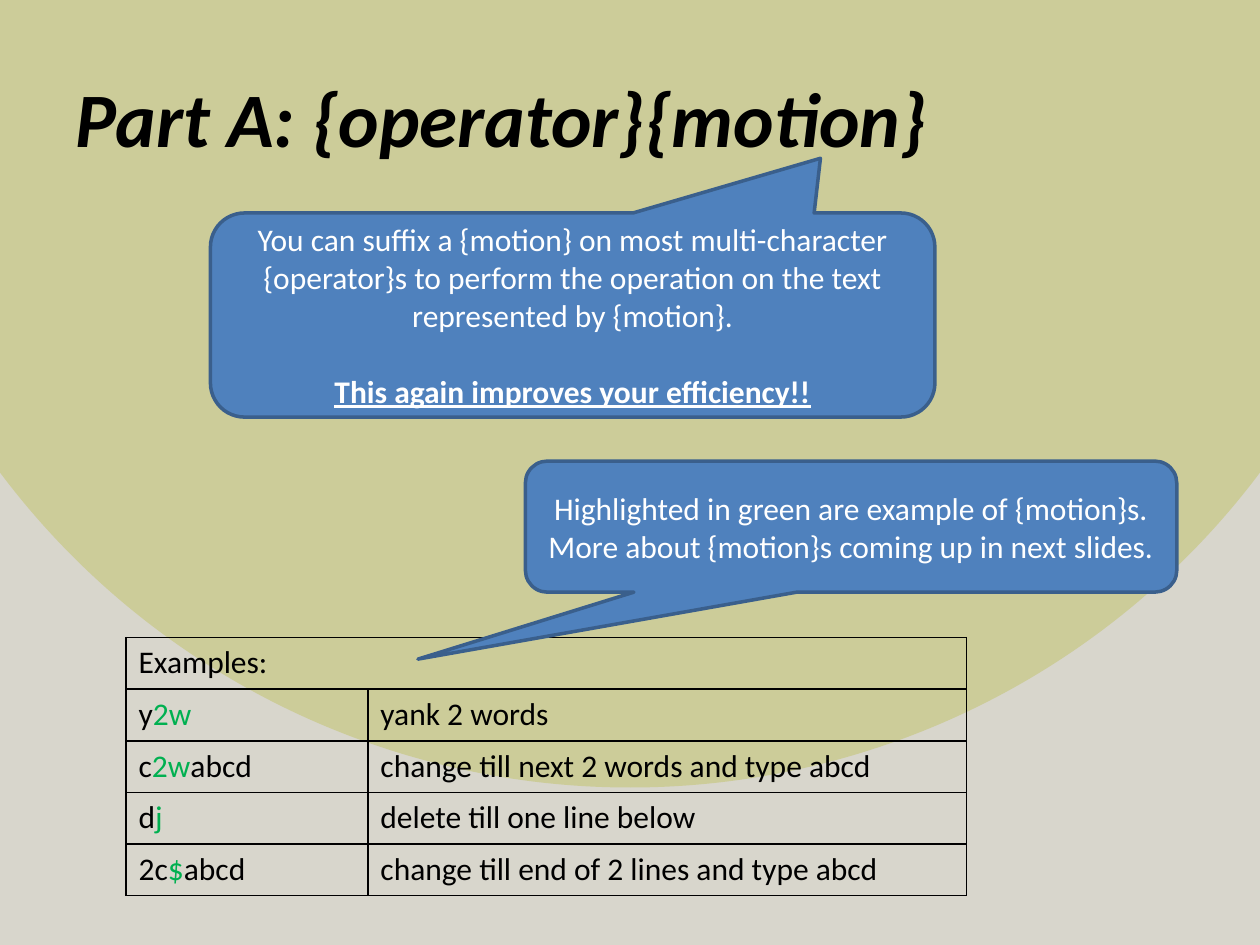
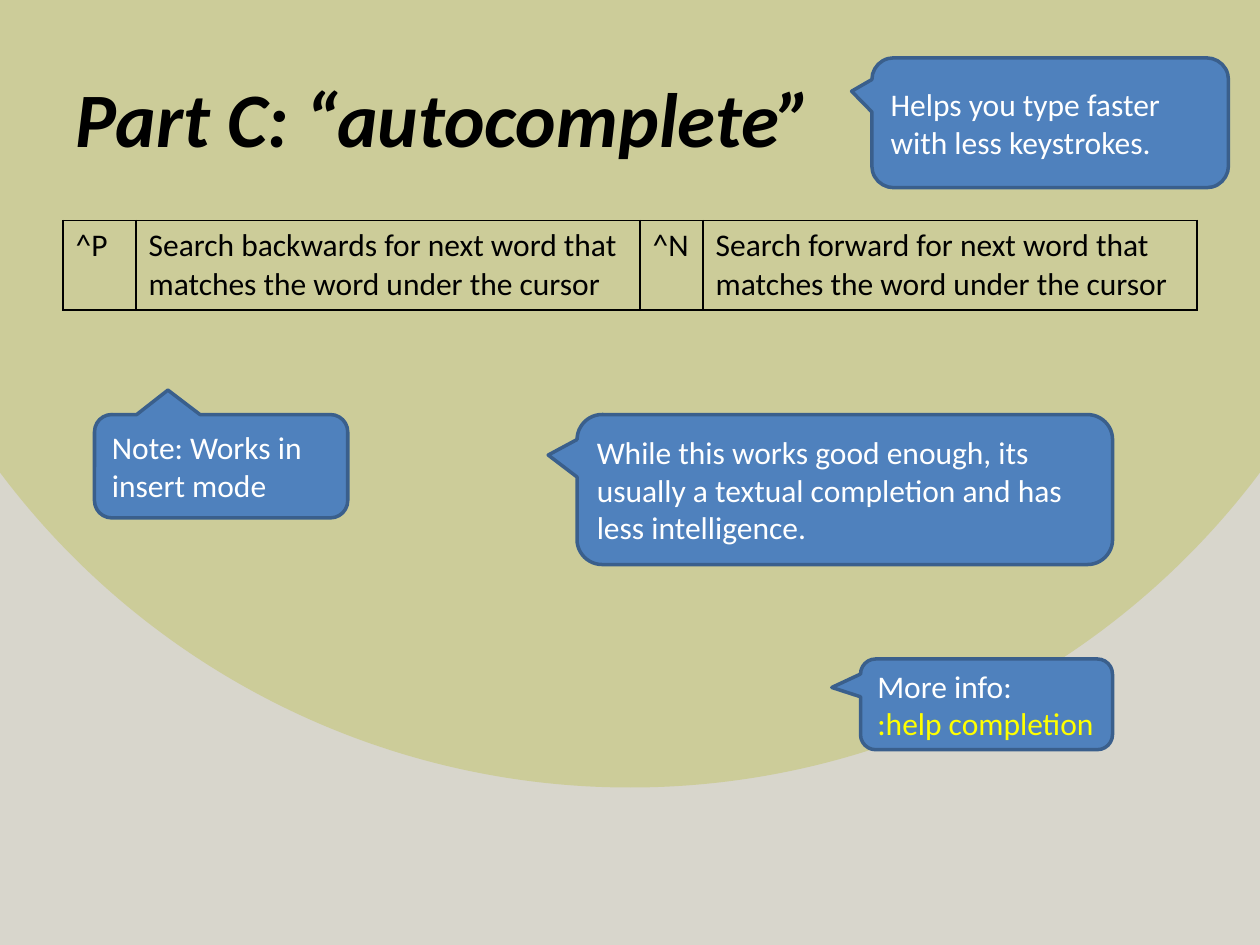
import pptx
import pptx.dml.color
import pptx.enum.shapes
import pptx.enum.text
import pptx.oxml
import pptx.oxml.ns
import pptx.util
from pptx.util import Inches

FONT, BODY_SIZE, TITLE_SIZE = "Calibri", 18, 44
BLACK, WHITE, GREEN, YELLOW = "000000", "FFFFFF", "00B050", "FFFF00"
CALLOUT_FILL, CALLOUT_LINE = "4F81BD", "3A5F8C"
DISC, SURROUND = "CCCC99", "D8D6CC"
TITLE_PLACE = (0.5, 0.3, 9, 1.25)
BLANK_LINE = 22
ALIGN = pptx.enum.text.PP_ALIGN

# A paragraph is a list of (text, format) spans.
SLIDES = [
    {
        "title": "Part A: {operator}{motion}",
        "table": {
            "place": (1, 5.06), "columns": (1.92, 4.75), "row_height": 0.41, "heading": True,
            "rows": [
                [[("Examples:", {})], []],
                [[("y", {}), ("2w", {"color": GREEN})], [("yank 2 words", {})]],
                [[("c", {}), ("2w", {"color": GREEN}), ("abcd", {})],
                 [("change till next 2 words and type abcd", {})]],
                [[("d", {}), ("j", {"color": GREEN})], [("delete till one line below", {})]],
                [[("2c", {}), ("$", {"color": GREEN}), ("abcd", {})],
                 [("change till end of 2 lines and type abcd", {})]],
            ],
        },
        "align": ALIGN.CENTER,
        "callouts": [
            ((1.67, 1.69, 5.75, 1.62), (0.342, -0.768), [
                [("You can suffix a {motion} on most multi-character {operator}s to perform "
                  "the operation on the text represented by {motion}.", {})],
                [("This again improves your efficiency!!", {"bold": True, "underline": True})]]),
            ((4.17, 3.66, 5.17, 1.04), (-0.665, 1.011), [
                [("Highlighted in green are example of {motion}s. "
                  "More about {motion}s coming up in next slides.", {})]]),
        ],
    },
    {
        "title": "Part C: “autocomplete”",
        "table": {
            "place": (0.5, 1.75), "columns": (0.58, 4, 0.5, 3.92), "row_height": 0.7, "heading": False,
            "rows": [[
                [("^P", {})],
                [("Search backwards for next word that matches the word under the cursor", {})],
                [("^N", {})],
                [("Search forward for next word that matches the word under the cursor", {})],
            ]],
        },
        "align": ALIGN.LEFT,
        "callouts": [
            ((6.83, 5.23, 2, 0.72), (-0.614, -0.186), [
                [("More info:", {})], [(":help completion", {"color": YELLOW})]]),
            ((6.92, 0.46, 2.83, 1.03), (-0.557, -0.243), [
                [("Helps you type faster with less keystrokes.", {})]]),
            ((4.58, 3.29, 4.25, 1.19), (-0.554, -0.23), [
                [("While this works good enough, its usually a textual completion "
                  "and has less intelligence.", {})]]),
            ((0.75, 3.29, 2.01, 0.82), (-0.21, -0.737), [
                [("Note: Works in insert mode", {})]]),
        ],
    },
]


def rgb(color):
    """Turn a hex string into a colour."""
    return pptx.dml.color.RGBColor.from_string(color)


def add_text(para, text, color=BLACK, size=BODY_SIZE, bold=False, italic=False, underline=False):
    """Append one formatted span to a paragraph."""
    span = para.add_run()
    span.text = text
    font = span.font
    font.name, font.size = FONT, pptx.util.Pt(size)
    font.bold, font.italic, font.underline = bold, italic, underline
    font.color.rgb = rgb(color)


def set_background(master):
    """Give every slide a disc centred on its top edge."""
    master.background.fill.solid()
    solid = master.element.find(".//" + pptx.oxml.ns.qn("p:bgPr"))[0]
    stops = "".join(f'<a:gs pos="100000"><a:srgbClr val="{color}"/></a:gs>'
                    for color in (DISC, SURROUND))
    gradient = pptx.oxml.parse_xml(
        f'<a:gradFill {pptx.oxml.ns.nsdecls("a")} rotWithShape="1"><a:gsLst>{stops}</a:gsLst>'
        '<a:path path="circle"><a:fillToRect l="43000" t="0" r="43000" b="100000"/></a:path>'
        '</a:gradFill>')
    solid.getparent().replace(solid, gradient)


def add_title(page, text):
    """Place and format the title."""
    title = page.shapes.title
    title.left, title.top, title.width, title.height = map(Inches, TITLE_PLACE)
    title.text_frame.vertical_anchor = pptx.enum.text.MSO_ANCHOR.MIDDLE
    para = title.text_frame.paragraphs[0]
    para.alignment = ALIGN.LEFT
    add_text(para, text, size=TITLE_SIZE, bold=True, italic=True)


def outline_cell(cell):
    """Clear the fill of a cell and draw its four borders."""
    cell.fill.background()
    properties = cell._tc.get_or_add_tcPr()
    for position, side in enumerate("LRTB"):
        properties.insert(position, pptx.oxml.parse_xml(
            f'<a:ln{side} {pptx.oxml.ns.nsdecls("a")} w="12700"><a:solidFill>'
            f'<a:srgbClr val="{BLACK}"/></a:solidFill></a:ln{side}>'))


def add_table(page, place, columns, row_height, heading, rows):
    """Add a bordered table, its first row merged if it is a heading."""
    frame = page.shapes.add_table(len(rows), len(columns), *map(Inches, place),
                                  Inches(sum(columns)), Inches(row_height * len(rows)))
    table = frame.table
    table.first_row = table.horz_banding = False
    for column, width in zip(table.columns, columns):
        column.width = Inches(width)
    for row, contents in enumerate(rows):
        for column, spans in enumerate(contents):
            cell = table.cell(row, column)
            outline_cell(cell)
            for text, style in spans:
                add_text(cell.text_frame.paragraphs[0], text, **style)
    if heading:
        table.cell(0, 0).merge(table.cell(0, len(columns) - 1))


def add_callout(page, place, tip, paragraphs, align):
    """Add a rounded callout whose tip is given relative to its centre."""
    box = page.shapes.add_shape(pptx.enum.shapes.MSO_SHAPE.ROUNDED_RECTANGULAR_CALLOUT,
                                *map(Inches, place))
    for index, value in enumerate((*tip, 0.167)):
        box.adjustments[index] = value
    box.shadow.inherit = False
    box.fill.solid()
    box.fill.fore_color.rgb = rgb(CALLOUT_FILL)
    box.line.color.rgb = rgb(CALLOUT_LINE)
    box.line.width = pptx.util.Pt(2)
    frame = box.text_frame
    frame.word_wrap = True
    frame.vertical_anchor = pptx.enum.text.MSO_ANCHOR.MIDDLE
    for index, spans in enumerate(paragraphs):
        para = frame.add_paragraph() if index else frame.paragraphs[0]
        para.alignment = align
        if index and align == ALIGN.CENTER:
            para.space_before = pptx.util.Pt(BLANK_LINE)
        for text, style in spans:
            add_text(para, text, **{"color": WHITE, **style})


def main():
    """Build the deck."""
    deck = pptx.Presentation()
    deck.slide_width, deck.slide_height = Inches(10), Inches(7.5)
    set_background(deck.slide_master)
    for content in SLIDES:
        page = deck.slides.add_slide(deck.slide_layouts[5])
        add_title(page, content["title"])
        add_table(page, **content["table"])
        for place, tip, paragraphs in content["callouts"]:
            add_callout(page, place, tip, paragraphs, content["align"])
    deck.save("out.pptx")


if __name__ == "__main__":
    main()
